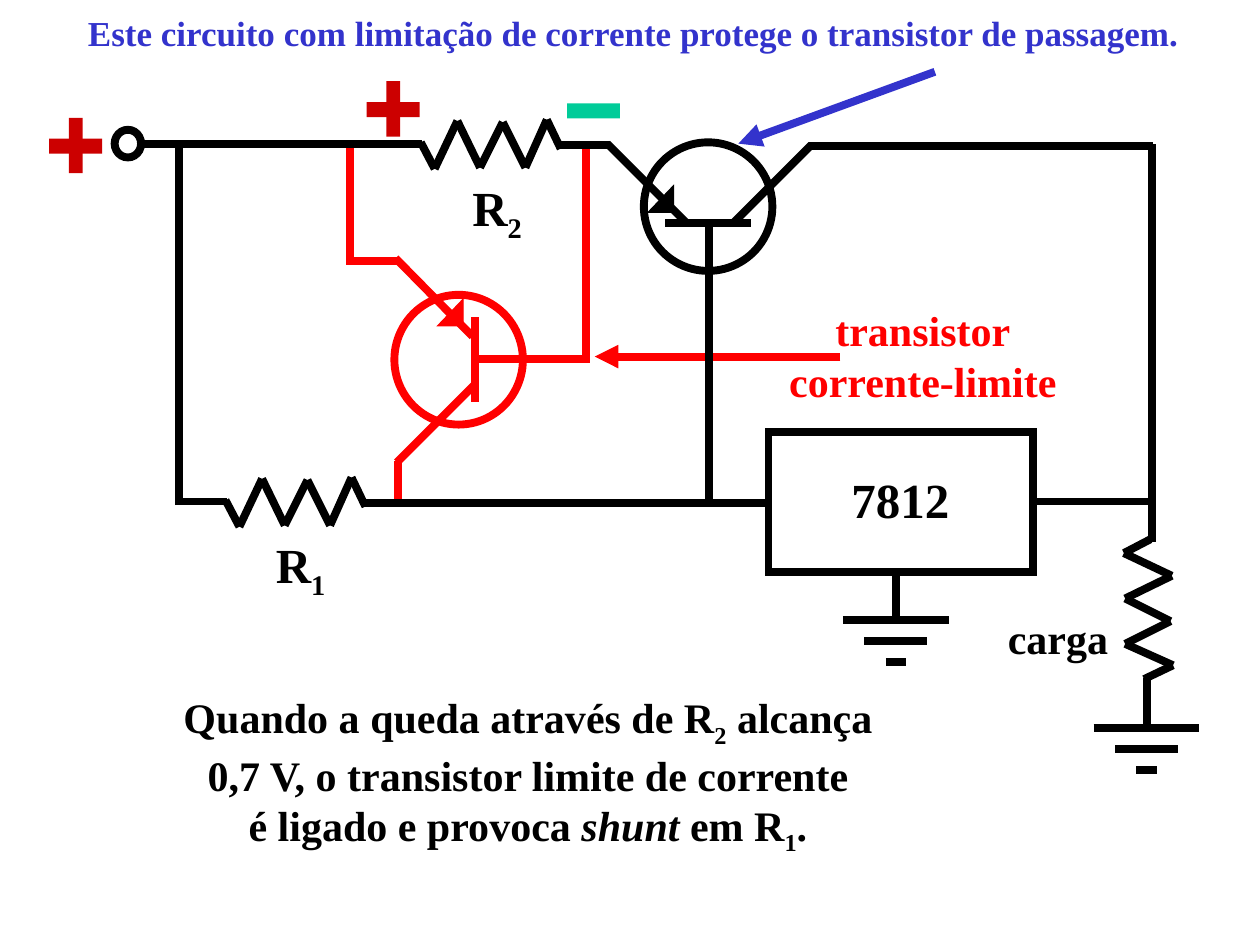
from dataclasses import dataclass
from itertools import pairwise

from lxml.etree import SubElement
from pptx import Presentation
from pptx.dml.color import RGBColor
from pptx.enum.shapes import MSO_CONNECTOR as Connector, MSO_SHAPE as Preset
from pptx.enum.text import MSO_AUTO_SIZE as AutoSize, PP_ALIGN as Align
from pptx.oxml.ns import qn
from pptx.slide import Slide
from pptx.util import Inches, Pt

COLUMNS, ROWS = 10, 7.5  # square grid cells of one inch
BLACK, RED, BLUE = "000000", "FF0000", "3333CC"
PLUS, MINUS = "CC0000", "00CC99"
FONT = "Times New Roman"
STROKE = 4.5


@dataclass(frozen=True)
class Wire:
    x1: float
    y1: float
    x2: float
    y2: float
    color: str = BLACK
    arrow: bool = False


@dataclass(frozen=True)
class Area:
    x: float
    y: float
    width: float
    height: float


@dataclass(frozen=True)
class Piece:
    text: str
    subscript: bool = False
    italic: bool = False


@dataclass(frozen=True)
class Label:
    area: Area
    lines: list[list[Piece]]
    size: int = 24
    color: str = BLACK
    align: Align = Align.LEFT


@dataclass(frozen=True)
class Resistor:
    x: float
    y: float
    vertical: bool = False


# Distance along the resistor and offset across it
ZIGZAG = [(0, 0), (0.11, 0.21), (0.29, -0.17), (0.47, 0.2),
          (0.65, -0.16), (0.83, 0.2), (1.0, -0.18), (1.11, 0.05)]

CURRENT_LIMIT_ARROW = Wire(6.67, 2.83, 4.72, 2.83, RED, True)
PASS_TRANSISTOR = [
    Wire(5.44, 1.76, 4.82, 1.14),
    Wire(5.96, 1.77, 5.28, 1.77),
    Wire(5.82, 1.77, 6.44, 1.15),
    Wire(5.63, 1.76, 5.63, 4),
]
LIMIT_TRANSISTOR = [
    Wire(3.77, 3.05, 3.15, 3.67, RED),
    Wire(4.65, 1.18, 4.65, 2.88, RED),
    Wire(3.75, 2.67, 3.14, 2.05, RED),
    Wire(3.77, 3.19, 3.77, 2.52, RED),
    Wire(3.76, 2.85, 4.64, 2.85, RED),
    Wire(3.16, 2.07, 2.76, 2.07, RED),
    Wire(2.78, 2.1, 2.78, 1.16, RED),
    Wire(3.16, 3.66, 3.16, 4, RED),
]
SUPPLY_WIRES = [
    Wire(2.89, 3.99, 6.12, 3.99),
    Wire(9.1, 5.38, 9.1, 5.79),
    Wire(9.14, 4.3, 9.14, 1.14),
    Wire(6.42, 1.16, 9.15, 1.16),
    Wire(8.2, 3.98, 9.14, 3.98),
    Wire(7.11, 4.57, 7.11, 4.93),
    Wire(1.8, 3.98, 1.44, 3.98),
    Wire(1.42, 4.01, 1.42, 1.17),
    Wire(4.84, 1.15, 4.43, 1.15),
    Wire(3.35, 1.14, 1.13, 1.14),
]
TITLE_ARROW = Wire(7.42, 0.57, 5.86, 1.14, BLUE, True)
RESISTORS = [Resistor(9.13, 4.28, vertical=True), Resistor(1.79, 3.97), Resistor(3.34, 1.13)]
GROUNDS = [(9.1, 5.78), (7.11, 4.92)]
SIGNS = [(0.6, 1.16, PLUS), (3.12, 0.87, PLUS), (4.71, 0.88, MINUS)]

LABELS = [
    Label(Area(6.66, 3.68, 1, 0.57), [[Piece("7812")]], 28),
    Label(Area(7.9, 4.81, 1.02, 0.5), [[Piece("carga")]]),
    Label(Area(0.6, 0.04, 8.9, 0.44), [[Piece(
        "Este circuito com limitação de corrente protege o transistor de passagem.")]], 20, BLUE),
    Label(Area(3.65, 1.36, 0.61, 0.63), [[Piece("R"), Piece("2", subscript=True)]], 28),
    Label(Area(1.34, 5.44, 5.7, 1.41), [
        [Piece("Quando a queda através de R"), Piece("2", subscript=True), Piece(" alcança")],
        [Piece("0,7 V, o transistor limite de corrente")],
        [Piece("é ligado e provoca "), Piece("shunt", italic=True), Piece(" em R"),
         Piece("1", subscript=True), Piece(".")],
    ], align=Align.CENTER),
    Label(Area(2.09, 4.19, 0.61, 0.63), [[Piece("R"), Piece("1", subscript=True)]], 28),
    Label(Area(6.16, 2.37, 2.33, 1.3), [[Piece("transistor")], [Piece("corrente-limite")]],
          color=RED, align=Align.CENTER),
]


def rgb(color: str) -> RGBColor:
    return RGBColor.from_string(color)


def draw_wire(page: Slide, wire: Wire) -> None:
    ends = [Inches(value) for value in (wire.x1, wire.y1, wire.x2, wire.y2)]
    connector = page.shapes.add_connector(Connector.STRAIGHT, *ends)
    connector.line.width = Pt(STROKE)
    connector.line.color.rgb = rgb(wire.color)
    if wire.arrow:
        SubElement(connector.line._get_or_add_ln(), qn("a:tailEnd"), type="triangle")
    SubElement(connector._element.spPr, qn("a:effectLst"))


def draw_wires(page: Slide, wires: list[Wire]) -> None:
    for wire in wires:
        draw_wire(page, wire)


def draw_shape(page: Slide, preset: Preset, area: Area, fill: str | None = None,
               line: str | None = None, width: float = STROKE, rotation: float = 0) -> None:
    shape = page.shapes.add_shape(
        preset, Inches(area.x), Inches(area.y), Inches(area.width), Inches(area.height))
    shape.shadow.inherit = False
    shape.rotation = rotation
    if fill:
        shape.fill.solid()
        shape.fill.fore_color.rgb = rgb(fill)
    else:
        shape.fill.background()
    if line:
        shape.line.color.rgb = rgb(line)
        shape.line.width = Pt(width)
        SubElement(shape.line._get_or_add_ln(), qn("a:miter"), lim="800000")
    else:
        shape.line.fill.background()


def draw_transistor(page: Slide, wires: list[Wire], circle: Area, emitter: Area) -> None:
    color = wires[0].color
    draw_wires(page, wires)
    draw_shape(page, Preset.RIGHT_TRIANGLE, emitter, color, color, 0.75, 270)
    draw_shape(page, Preset.OVAL, circle, line=color)


def draw_resistor(page: Slide, resistor: Resistor) -> None:
    points = [(resistor.x - across, resistor.y + along) if resistor.vertical
              else (resistor.x + along, resistor.y + across) for along, across in ZIGZAG]
    draw_wires(page, [Wire(*start, *end) for start, end in pairwise(points)])


def draw_ground(page: Slide, center: float, top: float) -> None:
    for row, half in enumerate((0.42, 0.25, 0.08)):
        y = top + row / 6
        draw_wire(page, Wire(center - half, y, center + half, y))


def draw_sign(page: Slide, x: float, y: float, color: str) -> None:
    draw_shape(page, Preset.RECTANGLE, Area(x - 0.21, y - 0.06, 0.42, 0.12), color)
    if color == PLUS:
        draw_shape(page, Preset.RECTANGLE, Area(x - 0.22, y - 0.06, 0.44, 0.11), color, rotation=90)


def draw_label(page: Slide, label: Label) -> None:
    area = label.area
    box = page.shapes.add_textbox(
        Inches(area.x), Inches(area.y), Inches(area.width), Inches(area.height))
    frame = box.text_frame
    frame.word_wrap = False
    frame.auto_size = AutoSize.SHAPE_TO_FIT_TEXT
    for index, line in enumerate(label.lines):
        para = frame.add_paragraph() if index else frame.paragraphs[0]
        para.alignment = label.align
        for piece in line:
            span = para.add_run()
            span.text = piece.text
            font = span.font
            font.name, font.size, font.bold = FONT, Pt(label.size), True
            font.color.rgb = rgb(label.color)
            if piece.italic:
                font.italic = True
            if piece.subscript:
                span._r.get_or_add_rPr().set("baseline", "-25000")


def main() -> None:
    deck = Presentation()
    deck.slide_width, deck.slide_height = Inches(COLUMNS), Inches(ROWS)
    page = deck.slides.add_slide(deck.slide_layouts[6])
    draw_wire(page, CURRENT_LIMIT_ARROW)
    draw_transistor(page, PASS_TRANSISTOR, Area(5.11, 1.13, 1.02, 1.02), Area(5.14, 1.48, 0.21, 0.2))
    for resistor in RESISTORS:
        draw_resistor(page, resistor)
    draw_shape(page, Preset.OVAL, Area(0.91, 1.03, 0.21, 0.22), line=BLACK)
    draw_shape(page, Preset.RECTANGLE, Area(6.1, 3.43, 2.1, 1.11), line=BLACK)
    for ground in GROUNDS:
        draw_ground(page, *ground)
    draw_transistor(page, LIMIT_TRANSISTOR, Area(3.13, 2.34, 1.02, 1.03), Area(3.47, 2.38, 0.21, 0.2))
    draw_wires(page, SUPPLY_WIRES)
    draw_wire(page, TITLE_ARROW)
    for sign in SIGNS:
        draw_sign(page, *sign)
    for label in LABELS:
        draw_label(page, label)
    deck.save("out.pptx")


if __name__ == "__main__":
    main()
